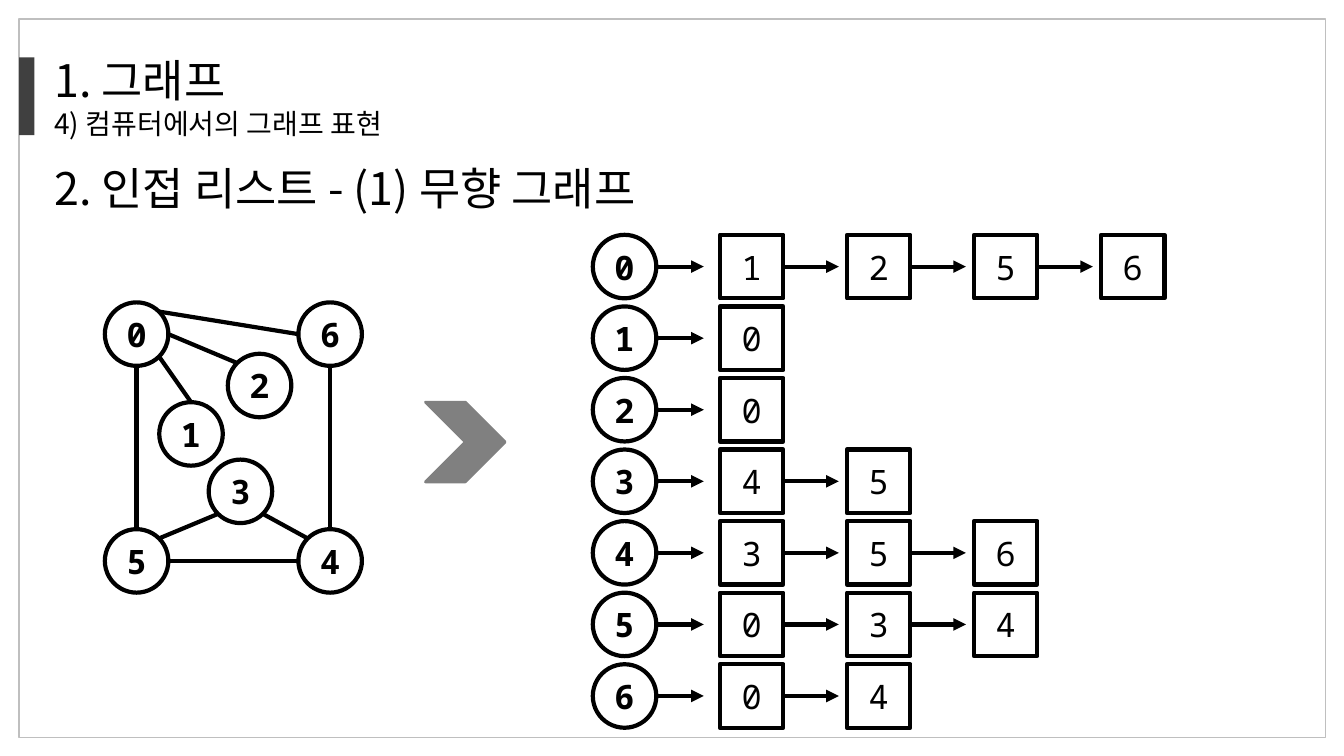
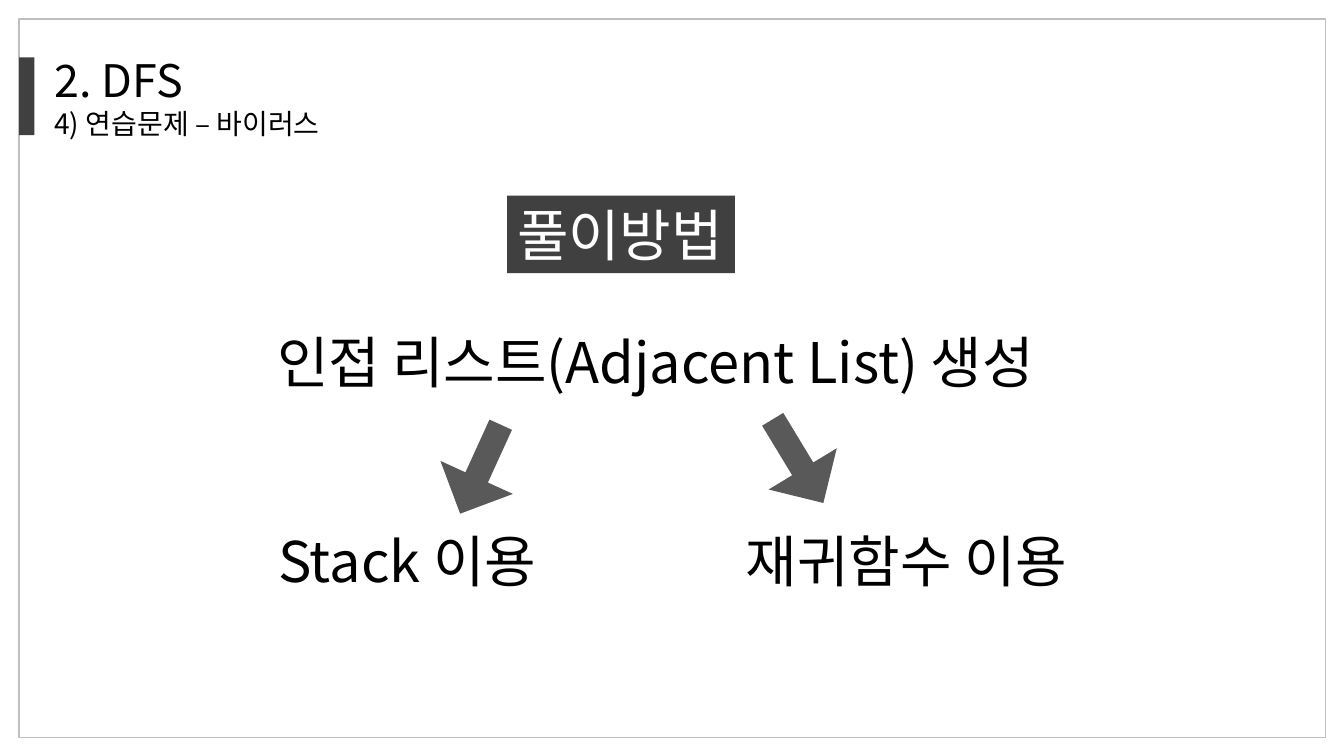
from lxml.etree import SubElement
from pptx import Presentation
from pptx.dml.color import RGBColor
from pptx.enum.shapes import MSO_CONNECTOR, MSO_SHAPE
from pptx.enum.text import MSO_ANCHOR, MSO_AUTO_SIZE, PP_ALIGN
from pptx.oxml import parse_xml
from pptx.oxml.ns import qn
from pptx.util import Inches, Pt

BLACK = RGBColor(0, 0, 0)
WHITE = RGBColor(255, 255, 255)
DARK = RGBColor(0x40, 0x40, 0x40)
SLATE = RGBColor(0x59, 0x59, 0x59)
GRAY = RGBColor(0x80, 0x80, 0x80)
PALE = RGBColor(0xBF, 0xBF, 0xBF)
SANS = "Noto Sans CJK KR"
MONO = "Noto Sans Mono"
SIZE = 0.63
HALF = SIZE / 2
OUTLINE = (
    '<a:ln xmlns:a="http://schemas.openxmlformats.org/drawingml/2006/main" w="9525">'
    '<a:solidFill><a:srgbClr val="000000"><a:alpha val="50000"/></a:srgbClr></a:solidFill>'
    '<a:prstDash val="solid"/></a:ln>'
)


def add_node(group, kind, x, y, text):
    node = group.shapes.add_shape(kind, Inches(x), Inches(y), Inches(SIZE), Inches(SIZE))
    node.shadow.inherit = False
    node.fill.background()
    node.line.color.rgb = BLACK
    node.line.width = Pt(3)
    node.text_frame.text = str(text)
    node.text_frame.vertical_anchor = MSO_ANCHOR.MIDDLE
    para = node.text_frame.paragraphs[0]
    para.alignment = PP_ALIGN.CENTER
    font = para.runs[0].font
    font.name = MONO
    font.size = Pt(24)
    font.bold = kind == MSO_SHAPE.OVAL
    font.color.rgb = BLACK
    return node


def add_link(group, start, end, arrow=False):
    link = group.shapes.add_connector(
        MSO_CONNECTOR.STRAIGHT, *[Inches(v) for v in (*start, *end)]
    )
    link.line.color.rgb = BLACK
    link.line.width = Pt(3)
    if arrow:
        SubElement(link.line._get_or_add_ln(), qn("a:tailEnd"), type="triangle")
    SubElement(link._element.spPr, qn("a:effectLst"))
    return link


deck = Presentation()
deck.slide_width = Inches(13.33)
deck.slide_height = Inches(7.5)

slides = []
headings = [
    (4.1, ["1. 그래프", "4) 컴퓨터에서의 그래프 표현"]),
    (5.2, ["2. DFS", "4) 연습문제 – 바이러스"]),
]
for width, lines in headings:
    slide = deck.slides.add_slide(deck.slide_layouts[6])
    slides.append(slide)
    frame = slide.shapes.add_shape(
        MSO_SHAPE.RECTANGLE, Inches(0.19), Inches(0.19), Inches(12.96), Inches(7.13)
    )
    frame.shadow.inherit = False
    frame.fill.background()
    frame.line.color.rgb = PALE
    frame.line.width = Pt(1)
    band = slide.shapes.add_shape(
        MSO_SHAPE.RECTANGLE, Inches(0.19), Inches(0.57), Inches(0.15), Inches(0.77)
    )
    band.shadow.inherit = False
    band.fill.solid()
    band.fill.fore_color.rgb = DARK
    band.line.fill.background()

    title = slide.shapes.add_textbox(Inches(0.44), Inches(0.47), Inches(width), Inches(0.98))
    title.text_frame.text = "\n".join(lines)
    title.text_frame.word_wrap = True
    title.text_frame.auto_size = MSO_AUTO_SIZE.SHAPE_TO_FIT_TEXT
    for para, size in zip(title.text_frame.paragraphs, (32, 20)):
        font = para.runs[0].font
        font.name = SANS
        font.size = Pt(size)
        font.color.rgb = BLACK
        props = para.runs[0]._r.get_or_add_rPr()
        props.insert(0, parse_xml(OUTLINE))
        SubElement(props, qn("a:ea"), typeface=SANS)

first, second = slides
labels = [
    (first, 0.44, 1.55, 6.49, 0.64, "2. 인접 리스트 - (1) 무향 그래프", 32, BLACK),
    (second, 5.03, 1.94, 2.26, 0.77, "풀이방법", 40, WHITE),
    (second, 2.65, 3.2, 7.83, 0.77, "인접 리스트(Adjacent List) 생성", 40, BLACK),
    (second, 2.66, 5.17, 2.83, 0.77, "Stack 이용", 40, BLACK),
    (second, 7.3, 5.17, 3.49, 0.77, "재귀함수 이용", 40, BLACK),
]
for slide, x, y, w, h, text, size, color in labels:
    label = slide.shapes.add_textbox(Inches(x), Inches(y), Inches(w), Inches(h))
    if color == WHITE:
        label.fill.solid()
        label.fill.fore_color.rgb = DARK
    label.text_frame.text = text
    label.text_frame.word_wrap = False
    label.text_frame.auto_size = MSO_AUTO_SIZE.SHAPE_TO_FIT_TEXT
    run = label.text_frame.paragraphs[0].runs[0]
    run.font.name = SANS
    run.font.size = Pt(size)
    run.font.color.rgb = color
    SubElement(run._r.get_or_add_rPr(), qn("a:ea"), typeface=SANS)

graph = first.shapes.add_group_shape()
spots = [(1.04, 3), (1.58, 3.99), (2.26, 3.51), (2.07, 4.56), (2.96, 5.25), (1.04, 5.25), (2.96, 3)]
for number, (x, y) in enumerate(spots):
    add_node(graph, MSO_SHAPE.OVAL, x, y, number)

sides = {
    "N": (0, -1), "S": (0, 1), "W": (-1, 0), "E": (1, 0),
    "NW": (-0.71, -0.71), "NE": (0.71, -0.71), "SW": (-0.71, 0.71), "SE": (0.71, 0.71),
}
edges = [
    (0, "S", 5, "N"), (5, "E", 4, "W"), (2, "NW", 0, "E"), (1, "N", 0, "SE"),
    (4, "N", 6, "S"), (6, "W", 0, "NE"), (3, "SW", 5, "NE"), (4, "NW", 3, "SE"),
]
for head, out, tail, into in edges:
    ends = []
    for number, side in ((head, out), (tail, into)):
        x, y = spots[number]
        dx, dy = sides[side]
        ends.append((x + HALF * (1 + dx), y + HALF * (1 + dy)))
    add_link(graph, *ends)

chevron = first.shapes.add_shape(
    MSO_SHAPE.CHEVRON, Inches(4.22), Inches(3.99), Inches(0.79), Inches(0.79)
)
chevron.shadow.inherit = False
chevron.fill.solid()
chevron.fill.fore_color.rgb = GRAY
chevron.line.color.rgb = GRAY
chevron.line.width = Pt(2)

table = first.shapes.add_group_shape()
rows = [[1, 2, 5, 6], [0], [0], [4, 5], [3, 5, 6], [0, 3, 4], [0, 4]]
for number, row in enumerate(rows):
    y = 2.33 + 0.71 * number
    mid = y + HALF
    add_node(table, MSO_SHAPE.OVAL, 5.88, y, number)
    add_link(table, (5.88 + SIZE, mid), (6.98, mid), True)
    last = None
    for col, value in enumerate(row):
        x = 7.14 + 1.26 * col
        if last is not None:
            link = add_link(table, (x - SIZE, mid), (x - 0.08, mid), True)
            link.begin_connect(last, 3)
        last = add_node(table, MSO_SHAPE.RECTANGLE, x, y, value)

for x, y, turn in ((7.43, 4.18, 58.8), (4.28, 4.26, 114.5)):
    arrow = second.shapes.add_shape(
        MSO_SHAPE.RIGHT_ARROW, Inches(x), Inches(y), Inches(0.97), Inches(0.79)
    )
    arrow.shadow.inherit = False
    arrow.rotation = turn
    arrow.adjustments[0] = 0.31
    arrow.adjustments[1] = 0.5
    arrow.fill.solid()
    arrow.fill.fore_color.rgb = SLATE
    arrow.line.fill.background()

deck.save("out.pptx")
